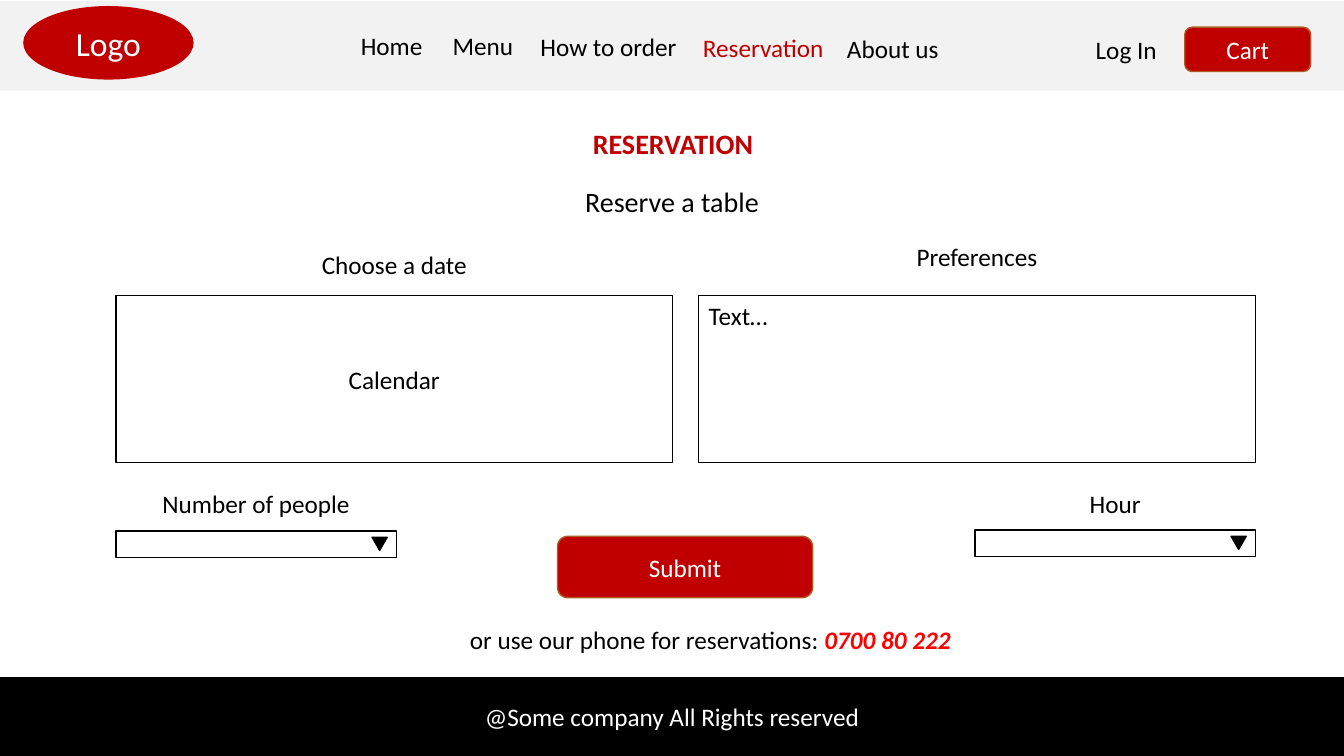
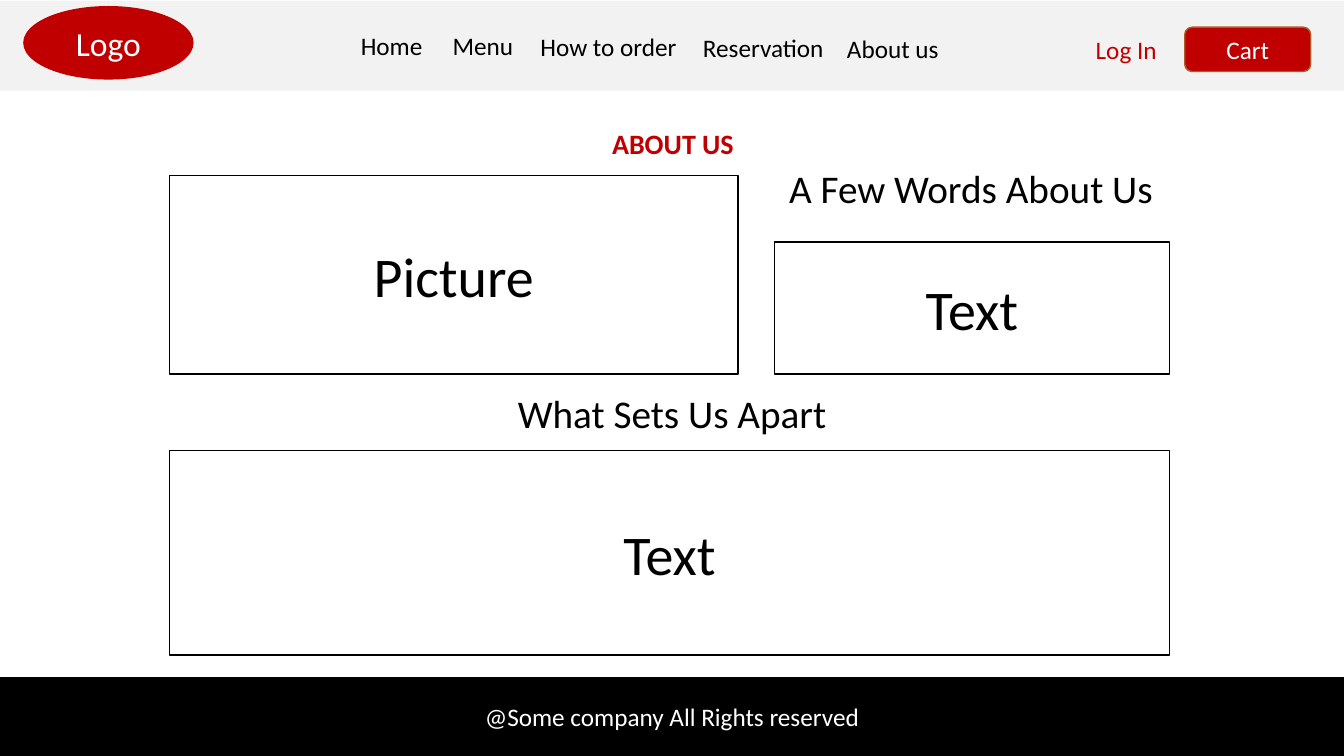
from pptx import Presentation
from pptx.dml.color import RGBColor
from pptx.enum.shapes import MSO_SHAPE as Preset
from pptx.enum.text import MSO_ANCHOR as Anchor, MSO_AUTO_SIZE as AutoSize, PP_ALIGN as Align
from pptx.util import Inches, Pt

BLACK = RGBColor(0x00, 0x00, 0x00)
WHITE = RGBColor(0xFF, 0xFF, 0xFF)
BRAND_RED = RGBColor(0xC0, 0x00, 0x00)
PHONE_RED = RGBColor(0xFF, 0x00, 0x00)
NAV_GREY = RGBColor(0xF2, 0xF2, 0xF2)
BUTTON_EDGE = RGBColor(0xAF, 0x5C, 0x24)


def write(holder, text, size=18, color=BLACK, align=Align.CENTER, anchor=Anchor.TOP, **font_format):
    frame = holder.text_frame
    for name, value in {"word_wrap": True, "auto_size": AutoSize.NONE, "vertical_anchor": anchor}.items():
        setattr(frame, name, value)
    paragraph = frame.paragraphs[0]
    paragraph.alignment = align
    run = paragraph.add_run()
    run.text = text
    for name, value in {"name": "Calibri", "size": Pt(size), **font_format}.items():
        setattr(run.font, name, value)
    run.font.color.rgb = color


def draw(slide, preset, box, fill=WHITE, edge=BLACK):
    shape = slide.shapes.add_shape(preset, *map(Inches, box))
    shape.shadow.inherit = False
    shape.fill.solid()
    shape.fill.fore_color.rgb = fill
    if edge is None:
        shape.line.fill.background()
    else:
        shape.line.color.rgb = edge
        shape.line.width = Pt(1)
    return shape


prs = Presentation()
prs.slide_width, prs.slide_height = Inches(13.33), Inches(7.5)

nav_items = [
    ("Home", 3.48, 0.25, 0.83, Align.LEFT),
    ("Menu", 4.29, 0.25, 1, Align.CENTER),
    ("How to order", 5.18, 0.26, 1.71, Align.CENTER),
    ("Reservation", 6.82, 0.27, 1.5, Align.CENTER),
    ("About us", 8.17, 0.28, 1.37, Align.CENTER),
    ("Log In", 10.67, 0.29, 1, Align.CENTER),
]
bars_and_buttons = [
    (Preset.RECTANGLE, (0, 0.01, 13.33, 0.89), NAV_GREY, None, "", 18),
    (Preset.RECTANGLE, (0, 6.72, 13.33, 0.78), BLACK, BLACK, "@Some company All Rights reserved", 18),
    (Preset.OVAL, (0.23, 0.06, 1.69, 0.73), BRAND_RED, None, "Logo", 24),
    (Preset.ROUNDED_RECTANGLE, (11.75, 0.27, 1.25, 0.44), BRAND_RED, BUTTON_EDGE, "Cart", 18),
]
submit_button = (Preset.ROUNDED_RECTANGLE, (5.53, 5.32, 2.53, 0.61), BRAND_RED, BUTTON_EDGE, "Submit", 18)

left_column, right_column, column_width = 1.15, 6.93, 5.52
people_left, hour_left, picker_width = 1.15, 9.67, 2.78
pages = [
    {
        "title": "RESERVATION",
        "active": "Reservation",
        "buttons": [submit_button],
        "labels": [
            ("Reserve a table", (3.96, 1.78, 5.41, 0.44), 20),
            ("Choose a date", (left_column, 2.42, column_width, 0.4), 18),
            ("Preferences", (right_column, 2.34, column_width, 0.4), 18),
            ("Number of people", (people_left, 4.8, picker_width, 0.4), 18),
            ("Hour", (hour_left, 4.8, picker_width, 0.4), 18),
        ],
        "panels": [
            ("Calendar", (left_column, 2.93, column_width, 1.66), 18, Align.CENTER, Anchor.MIDDLE),
            ("Text…", (right_column, 2.93, column_width, 1.66), 18, Align.LEFT, Anchor.TOP),
        ],
        "pickers": [(people_left, 5.27), (hour_left, 5.26)],
        "phone": "0700 80 222",
    },
    {
        "title": "ABOUT US",
        "active": "Log In",
        "buttons": [],
        "labels": [
            ("A Few Words About Us", (7.68, 1.58, 3.9, 0.57), 28),
            ("What Sets Us Apart", (4.85, 3.81, 3.63, 0.57), 28),
        ],
        "panels": [
            ("Picture", (1.68, 1.74, 5.64, 1.97), 40, Align.CENTER, Anchor.MIDDLE),
            ("Text", (7.68, 2.4, 3.92, 1.31), 40, Align.CENTER, Anchor.MIDDLE),
            ("Text", (1.68, 4.47, 9.92, 2.03), 40, Align.CENTER, Anchor.MIDDLE),
        ],
        "pickers": [],
        "phone": None,
    },
]

for page in pages:
    slide = prs.slides.add_slide(prs.slide_layouts[5])

    title = slide.shapes.title
    title_place = {"left": 3.97, "top": 1.2, "width": 5.41, "height": 0.44}
    for name, value in title_place.items():
        setattr(title, name, Inches(value))
    write(title, page["title"], 20, BRAND_RED, bold=True)

    for preset, box, fill, edge, caption, size in bars_and_buttons + page["buttons"]:
        shape = draw(slide, preset, box, fill, edge)
        if caption:
            write(shape, caption, size, WHITE, anchor=Anchor.MIDDLE)

    for caption, left, top, width, align in nav_items:
        link = slide.shapes.add_textbox(*map(Inches, (left, top, width, 0.4)))
        write(link, caption, color=BRAND_RED if caption == page["active"] else BLACK, align=align)

    for caption, box, size in page["labels"]:
        write(slide.shapes.add_textbox(*map(Inches, box)), caption, size)

    for caption, box, size, align, anchor in page["panels"]:
        write(draw(slide, Preset.RECTANGLE, box), caption, size, align=align, anchor=anchor)

    for left, top in page["pickers"]:
        draw(slide, Preset.RECTANGLE, (left, top, picker_width, 0.26))
        arrow_box = (left + picker_width - 0.24, top + 0.06, 0.15, 0.13)
        draw(slide, Preset.ISOSCELES_TRIANGLE, arrow_box, BLACK).rotation = 180

    if page["phone"]:
        phone_line = slide.shapes.add_textbox(*map(Inches, (4.42, 6.14, 5.25, 0.4)))
        write(phone_line, "or use our phone for reservations: ")
        write(phone_line, page["phone"], color=PHONE_RED, bold=True, italic=True)

prs.save("out.pptx")
